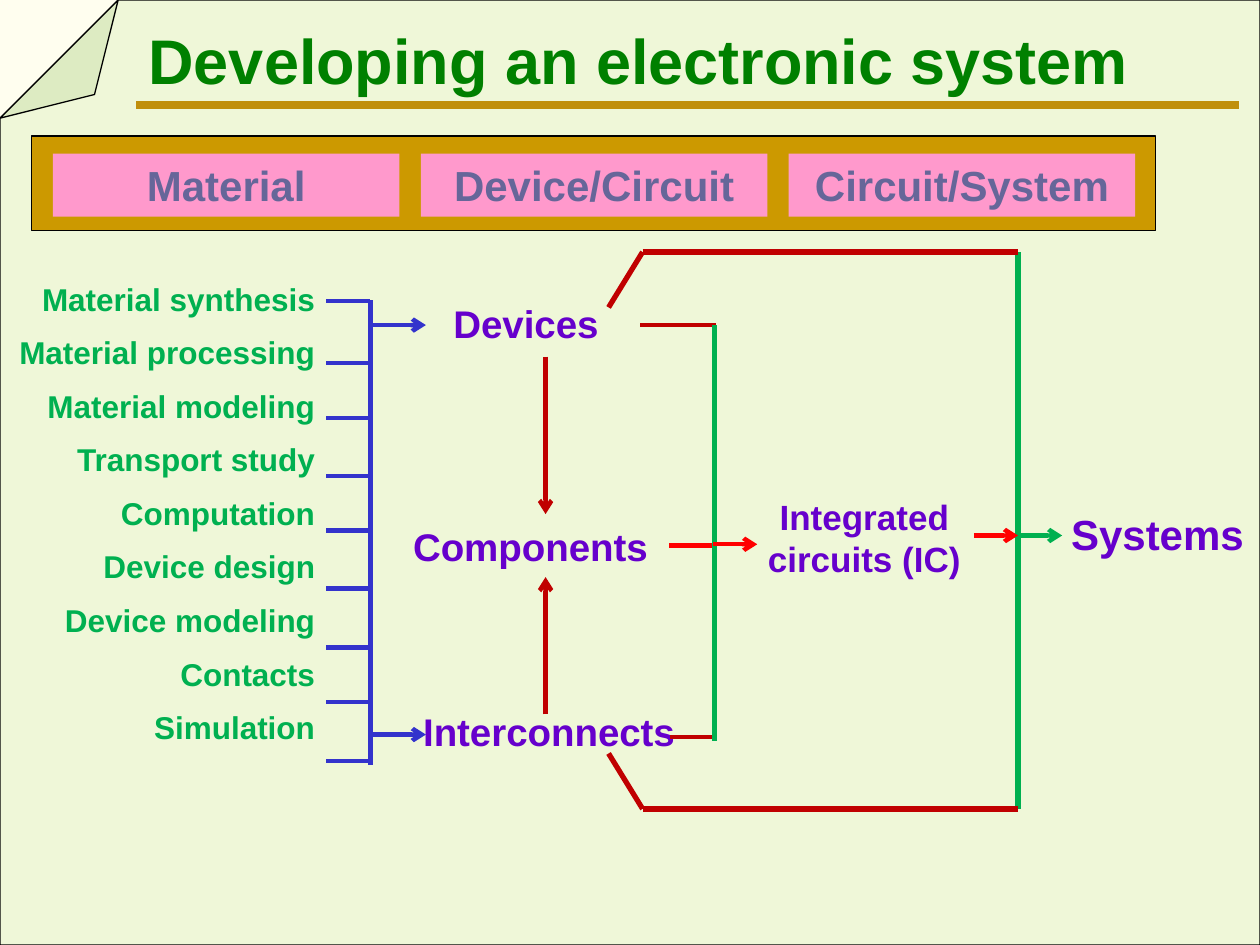
from lxml import etree
from pptx import Presentation
from pptx import util as u
from pptx.dml.color import RGBColor
from pptx.enum import shapes, text
from pptx.oxml.ns import qn

color = RGBColor.from_string
BLUE, RED, BRIGHT, GREEN, PURPLE = "3333CC", "C00000", "FF0000", "00B050", "6600CC"
ALIGN = text.PP_ALIGN

deck = Presentation()
deck.slide_width, deck.slide_height = u.Inches(10), u.Inches(7.5)
slide = deck.slides.add_slide(deck.slide_layouts[6])
slide.background.fill.solid()
slide.background.fill.fore_color.rgb = color("FFFEEF")


def write(holder, lines, size, hue, align=ALIGN.LEFT, anchor=text.MSO_ANCHOR.TOP, wrap=False):
    frame = holder.text_frame
    frame.text = "\n".join(lines)
    layout = {"word_wrap": wrap, "vertical_anchor": anchor,
              "auto_size": text.MSO_AUTO_SIZE.SHAPE_TO_FIT_TEXT}
    for name, value in layout.items():
        setattr(frame, name, value)
    for paragraph in frame.paragraphs:
        paragraph.alignment = align
        paragraph.space_before = u.Pt(0)
        before = paragraph._p.pPr.find(qn("a:spcBef"))
        before.clear()
        etree.SubElement(before, qn("a:spcPct"), val="50000")
        font = paragraph.runs[0].font
        for name, value in {"name": "Arial", "size": u.Pt(size), "bold": True}.items():
            setattr(font, name, value)
        font.color.rgb = color(hue)


def connect(x1, y1, x2, y2, hue, width=2.5, arrow=False):
    wire = slide.shapes.add_connector(shapes.MSO_CONNECTOR.STRAIGHT, *map(u.Inches, (x1, y1, x2, y2)))
    wire.line.color.rgb = color(hue)
    wire.line.width = u.Pt(width)
    if arrow:
        etree.SubElement(wire.line._get_or_add_ln(), qn("a:tailEnd"), type="arrow")
    etree.SubElement(wire._element.spPr, qn("a:effectLst"))


connect(1.08, 0.83, 9.83, 0.83, "C88500", 4.5)
sheet = slide.shapes.add_shape(shapes.MSO_SHAPE.FOLDED_CORNER, 0, 0, deck.slide_width, deck.slide_height)
sheet.rotation = 180
fold = sheet._element.spPr.find(qn("a:prstGeom")).find(qn("a:avLst"))
etree.SubElement(fold, qn("a:gd"), name="adj", fmla="val 12500")
sheet.shadow.inherit = False
sheet.fill.solid()
sheet.fill.fore_color.rgb = color("92D050")
tint = sheet._element.spPr.find(qn("a:solidFill"))[0]
etree.SubElement(tint, qn("a:alpha"), val="14000")
sheet.line.color.rgb = color("000000")
sheet.line.width = u.Pt(0.75)

topics = ["Material synthesis", "Material processing", "Material modeling", "Transport study",
          "Computation", "Device design", "Device modeling", "Contacts", "Simulation"]
for lines, box, size, hue, align, wrap in [
    (["Developing an electronic system"], (1.08, 0.12, 8.58, 0.62), 36, "008000", ALIGN.LEFT, True),
    (["Systems"], (8.38, 3.99, 1.59, 0.51), 24, PURPLE, ALIGN.RIGHT, False),
    (topics, (0.03, 2.17, 2.57, 4.04), 18, GREEN, ALIGN.RIGHT, False),
    (["Devices"], (3.5, 2.33, 1.37, 0.47), 22, PURPLE, ALIGN.LEFT, False),
    (["Interconnects"], (3.26, 5.57, 2.23, 0.47), 22, PURPLE, ALIGN.LEFT, False),
    (["Components"], (3.18, 4.1, 2.09, 0.47), 22, PURPLE, ALIGN.LEFT, False),
    (["Integrated circuits (IC)"], (5.92, 3.88, 1.88, 0.77), 20, PURPLE, ALIGN.CENTER, True),
]:
    label = slide.shapes.add_textbox(*map(u.Inches, box))
    write(label, lines, size, hue, align, wrap=wrap)

for y in (2.39, 2.88, 3.32, 3.78, 4.21, 4.67, 5.14, 5.57, 6.04):
    connect(2.59, y, 2.94, y, BLUE)
connect(2.94, 6.07, 2.94, 2.38, BLUE)
for y in (2.58, 5.83):
    connect(2.96, y, 3.38, y, BLUE, arrow=True)

for start, end in ((2.83, 4.08), (5.67, 4.58)):
    connect(4.33, start, 4.33, end, RED, arrow=True)
connect(5.08, 2.58, 5.68, 2.58, RED)
connect(5.32, 5.85, 5.67, 5.85, RED)
connect(5.31, 4.33, 5.66, 4.33, BRIGHT)
connect(5.67, 5.88, 5.67, 2.58, GREEN)
connect(5.66, 4.32, 6.01, 4.32, BRIGHT, arrow=True)

connect(8.08, 2, 8.08, 6.42, GREEN, 3)
for outer, inner in ((2, 2.44), (6.42, 5.98)):
    connect(5.1, outer, 8.08, outer, RED, 3)
    connect(5.1, outer, 4.83, inner, RED, 3)
connect(8.08, 4.25, 8.43, 4.25, GREEN, arrow=True)
connect(7.73, 4.25, 8.08, 4.25, BRIGHT, arrow=True)

banner = slide.shapes.add_shape(shapes.MSO_SHAPE.RECTANGLE, *map(u.Inches, (0.25, 1.08, 8.92, 0.75)))
banner.shadow.inherit = False
banner.fill.solid()
banner.fill.fore_color.rgb = color("CC9900")
banner.line.color.rgb = color("000000")
banner.line.width = u.Pt(0.75)
for column, stage in enumerate(("Material", "Device/Circuit", "Circuit/System")):
    box = (0.42 + 2.92 * column, 1.22, 2.75, 0.5)
    heading = slide.shapes.add_shape(shapes.MSO_SHAPE.RECTANGLE, *map(u.Inches, box))
    heading.shadow.inherit = False
    heading.fill.solid()
    heading.fill.fore_color.rgb = color("FF99CC")
    heading.line.fill.background()
    write(heading, [stage], 24, "666699", ALIGN.CENTER, text.MSO_ANCHOR.MIDDLE, True)

deck.save("out.pptx")
